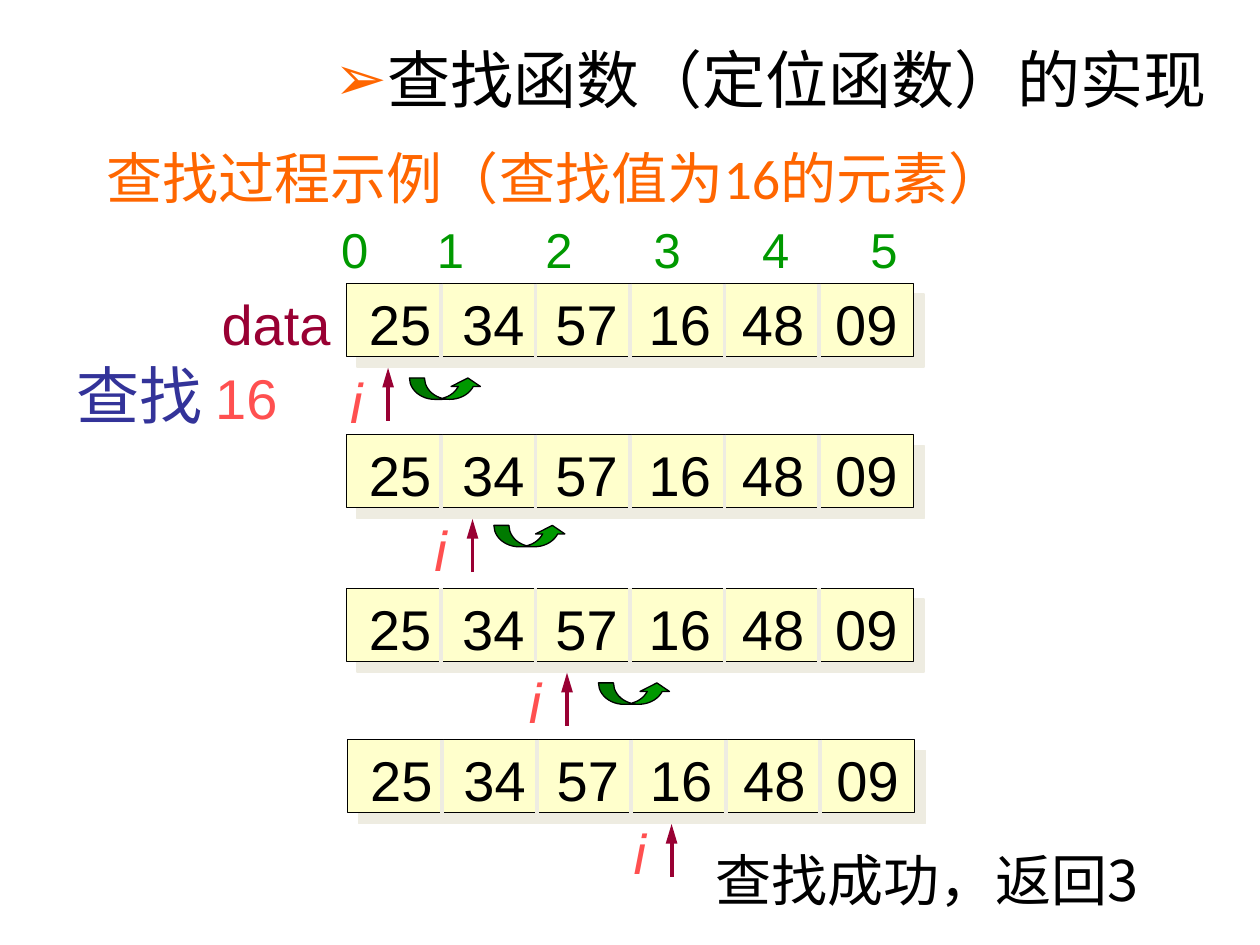
from dataclasses import dataclass

from lxml import etree
from pptx import Presentation
from pptx.dml.color import RGBColor
from pptx.enum.shapes import MSO_CONNECTOR, MSO_SHAPE
from pptx.enum.text import MSO_ANCHOR, MSO_AUTO_SIZE
from pptx.oxml.ns import qn
from pptx.util import Inches, Pt

STRAIGHT = MSO_CONNECTOR.STRAIGHT
RECTANGLE = MSO_SHAPE.RECTANGLE
CURVED_ARROW = MSO_SHAPE.CURVED_UP_ARROW
MIDDLE, TOP = MSO_ANCHOR.MIDDLE, MSO_ANCHOR.TOP
GROW, FIXED = MSO_AUTO_SIZE.SHAPE_TO_FIT_TEXT, MSO_AUTO_SIZE.NONE


@dataclass(frozen=True)
class Theme:
    black: str = "000000"
    orange: str = "FF6600"
    green: str = "009900"
    crimson: str = "990033"
    coral: str = "FF5050"
    navy: str = "333399"
    cream: str = "FFFFCC"
    beige: str = "EEECE1"
    heading: int = 36
    body: int = 32
    index: int = 28
    latin: str = "Arial"
    title: str = "Calibri"
    chinese: str = "Noto Sans CJK SC"
    thin: float = 0.75
    thick: float = 2.25


def child(parent, tag, **attributes):
    return etree.SubElement(parent, qn(tag), attributes)


class SlideBuilder:
    def __init__(self, slide, theme):
        self.slide = slide
        self.theme = theme

    def run(self, text, color, size=None, font=None, italic=False):
        theme = self.theme
        return text, color, size or theme.body, font or theme.latin, italic

    def text(self, box, runs, anchor=TOP, tabs=(), bullet=None):
        shape = self.slide.shapes.add_textbox(*map(Inches, box))
        frame = shape.text_frame
        frame.word_wrap = True
        frame.vertical_anchor = anchor
        frame.auto_size = FIXED if anchor == MIDDLE else GROW
        paragraph = frame.paragraphs[0]
        properties = paragraph._p.get_or_add_pPr()
        if bullet:
            indent = Inches(0.39)
            properties.set("marL", str(indent))
            properties.set("indent", str(-indent))
            color = child(properties, "a:buClr")
            child(color, "a:srgbClr", val=self.theme.orange)
            child(properties, "a:buFont", typeface=self.theme.latin)
            child(properties, "a:buChar", char=bullet)
        if tabs:
            stops = child(properties, "a:tabLst")
            for position in tabs:
                child(stops, "a:tab", pos=str(Inches(position)), algn="l")
        for content, color, size, font, italic in runs:
            run = paragraph.add_run()
            run.text = content
            run.font.size = Pt(size)
            run.font.name = font
            run.font.italic = italic
            run.font.color.rgb = RGBColor.from_string(color)
            child(run._r.get_or_add_rPr(), "a:ea", typeface=self.theme.chinese)

    def shape(self, kind, box, fill):
        shape = self.slide.shapes.add_shape(kind, *map(Inches, box))
        shape.shadow.inherit = False
        shape.fill.solid()
        shape.fill.fore_color.rgb = RGBColor.from_string(fill)
        shape.line.color.rgb = RGBColor.from_string(self.theme.black)
        shape.line.width = Pt(self.theme.thin)
        return shape

    def array_box(self, box):
        shape = self.shape(RECTANGLE, box, self.theme.cream)
        effects = shape._element.spPr.find(qn("a:effectLst"))
        shadow = child(effects, "a:outerShdw", blurRad="0", dist=str(Pt(8.5)),
                       dir="2700000", algn="ctr", rotWithShape="0")
        child(shadow, "a:srgbClr", val=self.theme.beige)
        return shape

    def hop(self, left, top):
        arrow = self.shape(CURVED_ARROW, (left, top, 0.58, 0.17), self.theme.green)
        for position, value in enumerate((0.7, 1.37, 0.4)):
            arrow.adjustments[position] = value

    def line(self, start, end, color, arrow=False):
        line = self.slide.shapes.add_connector(STRAIGHT, *map(Inches, start + end))
        line.line.color.rgb = RGBColor.from_string(color)
        line.line.width = Pt(self.theme.thick)
        if arrow:
            child(line.line._get_or_add_ln(), "a:tailEnd",
                  type="triangle", w="med", len="lg")
        child(line._element.spPr, "a:effectLst")
        return line

    def array(self, left, top, values):
        pitch, height = 0.75, 0.58
        count = len(values)
        box = self.array_box((left, top, pitch * count, height))
        self.text((left + 0.08, top, 4.5, 0.64),
                  [self.run("\t".join(values), self.theme.black)],
                  tabs=[0.74 * n for n in range(1, count)])
        for column in range(1, count):
            x = left + pitch * column
            divider = self.line((x, top), (x, top + height), self.theme.beige)
            if column * 2 == count:
                divider.begin_connect(box, 0)
                divider.end_connect(box, 2)

    def pointer(self, x, array_top, label_top):
        self.line((x, array_top + 1.09), (x, array_top + 0.67),
                  self.theme.crimson, arrow=True)
        self.text((x - 0.4, label_top, 0.3, 0.64),
                  [self.run("i", self.theme.coral, italic=True)])


def main():
    presentation = Presentation()
    presentation.slide_width, presentation.slide_height = Inches(10), Inches(7.5)
    slide = presentation.slides.add_slide(presentation.slide_layouts[6])
    theme = Theme()
    builder = SlideBuilder(slide, theme)
    run = builder.run

    builder.text((0.75, 0.99, 7.48, 0.83),
                 [run("查找过程示例（查找值为16的元素）", theme.orange, font=theme.title)],
                 anchor=MIDDLE)
    builder.text((2.61, 1.69, 4.73, 0.57),
                 [run("\t".join("012345"), theme.green, theme.index)],
                 tabs=[0.76 + 0.86 * n for n in range(5)])
    builder.text((1.66, 2.25, 1.15, 0.64), [run("data", theme.crimson)])
    builder.text((0.51, 2.78, 2.04, 0.7),
                 [run("查找", theme.navy, theme.heading), run(" 16", theme.coral)])

    values = ("25", "34", "57", "16", "48", "09")
    steps = (
        (2.75, 2.25, 3.08, 2.87, (3.25, 3)),
        (2.75, 3.45, 3.75, 4.04, (3.92, 4.17)),
        (2.75, 4.67, 4.5, 5.25, (4.75, 5.42)),
        (2.76, 5.87, 5.33, 6.45, None),
    )
    for left, top, pointer_x, label_top, hop in steps:
        builder.array(left, top, values)
        builder.pointer(pointer_x, top, label_top)
        if hop:
            builder.hop(*hop)

    builder.text((5.58, 6.66, 4.22, 0.64),
                 [run("查找成功，返回3", theme.black, font=theme.chinese)])
    builder.text((2.56, 0.21, 7.32, 0.83),
                 [run("查找函数（定位函数）的实现", theme.black, theme.heading)],
                 anchor=MIDDLE, bullet="➢")
    presentation.save("out.pptx")


if __name__ == "__main__":
    main()
